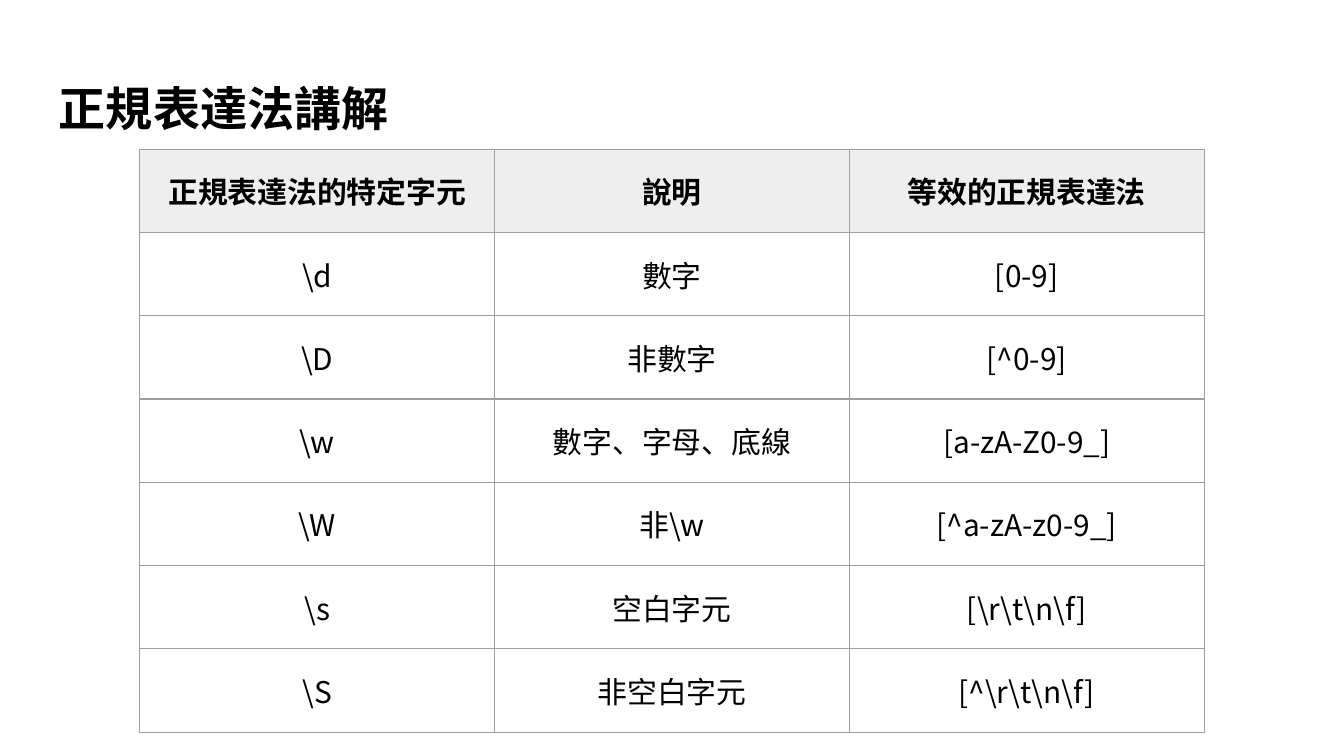
from lxml.etree import SubElement
from pptx import Presentation
from pptx.dml.color import RGBColor as RGB
from pptx.enum.text import MSO_ANCHOR as Anchor, PP_ALIGN as Align
from pptx.oxml.ns import qn
from pptx.util import Inches, Pt

TITLE = "正規表達法講解"
ROWS = [
    ("正規表達法的特定字元", "說明", "等效的正規表達法"),
    (r"\d", "數字", "[0-9]"),
    (r"\D", "非數字", "[^0-9]"),
    (r"\w", "數字、字母、底線", "[a-zA-Z0-9_]"),
    (r"\W", r"非\w", "[^a-zA-z0-9_]"),
    (r"\s", "空白字元", r"[\r\t\n\f]"),
    (r"\S", "非空白字元", r"[^\r\t\n\f]"),
]
COLORS = {"text": "000000", "header": "EEEEEE", "border": "9E9E9E"}
FONT = "Noto Sans CJK SC"
SLIDE_W = 10
SLIDE_H = SLIDE_W * 9 / 16
COL_W, ROW_H, MARGIN = 2.64, 0.62, 0.1


def style_text(p, size, bold):
    for r in p.runs:
        r.font.size = Pt(size)
        r.font.bold = bold
        r.font.name = FONT
        r.font.color.rgb = RGB.from_string(COLORS["text"])
        SubElement(r.font._element, qn("a:ea"), typeface=FONT)


def set_margins(box):
    for side in ("left", "top", "right", "bottom"):
        setattr(box, f"margin_{side}", Inches(MARGIN))


def add_borders(cell):
    tc_pr = cell._tc.get_or_add_tcPr()
    for tag in ("a:lnL", "a:lnR", "a:lnT", "a:lnB"):
        ln = SubElement(tc_pr, qn(tag), w=str(Pt(0.75)))
        fill = SubElement(ln, qn("a:solidFill"))
        SubElement(fill, qn("a:srgbClr"), val=COLORS["border"])


prs = Presentation()
prs.slide_width, prs.slide_height = Inches(SLIDE_W), Inches(SLIDE_H)
s = prs.slides.add_slide(prs.slide_layouts[6])

title = s.shapes.add_textbox(Inches(0.34), Inches(0.49), Inches(9.32), Inches(0.63))
tf = title.text_frame
tf.word_wrap = True
tf.vertical_anchor = Anchor.TOP
set_margins(tf)
tf.text = TITLE
style_text(tf.paragraphs[0], 25.2, True)

n_rows, n_cols = len(ROWS), len(ROWS[0])
table = s.shapes.add_table(
    n_rows, n_cols, Inches(1.04), Inches(1.11),
    Inches(COL_W * n_cols), Inches(ROW_H * n_rows),
).table
for col in table.columns:
    col.width = Inches(COL_W)
for row in table.rows:
    row.height = Inches(ROW_H)

for i, texts in enumerate(ROWS):
    is_header = i == 0
    for j, text in enumerate(texts):
        cell = table.cell(i, j)
        cell.text = text
        cell.vertical_anchor = Anchor.MIDDLE
        set_margins(cell)
        add_borders(cell)
        if is_header:
            cell.fill.solid()
            cell.fill.fore_color.rgb = RGB.from_string(COLORS["header"])
        else:
            cell.fill.background()
        p = cell.text_frame.paragraphs[0]
        p.alignment = Align.CENTER
        style_text(p, 16, is_header)

prs.save("out.pptx")
